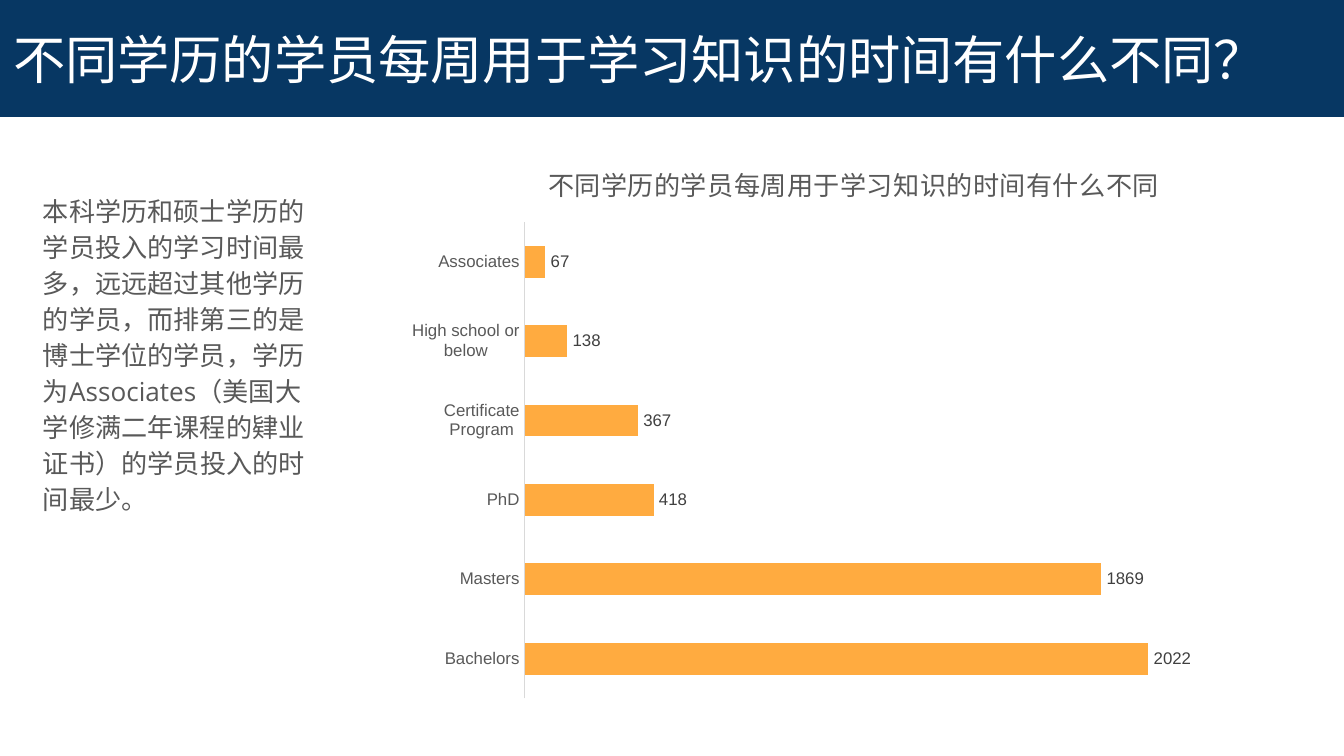
"""Build a slide on weekly study time by learners' level of education."""
from dataclasses import dataclass

from lxml.etree import SubElement
from pptx import Presentation
from pptx.chart.data import CategoryChartData
from pptx.dml.color import RGBColor
from pptx.enum.chart import XL_CHART_TYPE as ChartType
from pptx.enum.chart import XL_LABEL_POSITION as LabelPosition
from pptx.enum.chart import XL_TICK_LABEL_POSITION as TickLabels
from pptx.enum.chart import XL_TICK_MARK as TickMark
from pptx.enum.text import MSO_ANCHOR as Anchor
from pptx.enum.text import MSO_AUTO_SIZE as AutoSize
from pptx.enum.text import PP_ALIGN as Align
from pptx.oxml.ns import qn
from pptx.util import Cm, Pt


@dataclass(frozen=True)
class Theme:
    navy: str = "073763"
    white: str = "FFFFFF"
    black: str = "000000"
    grey: str = "595959"
    dark: str = "404040"
    rule: str = "D9D9D9"
    orange: str = "FFAB40"
    sans: str = "Open Sans"
    plain: str = "Arial"
    heading: float = 28
    text: float = 14
    base: float = 10
    label: float = 9


@dataclass(frozen=True)
class Box:
    left: float
    top: float
    width: float
    height: float

    def lengths(self) -> tuple:
        return Cm(self.left), Cm(self.top), Cm(self.width), Cm(self.height)


@dataclass(frozen=True)
class Piece:
    text: str
    face: str


@dataclass(frozen=True)
class Panel:
    box: Box
    pieces: tuple
    fill: str
    color: str
    size: float
    anchor: Anchor
    spacing: float
    after: float


THEME = Theme()
QUESTION = "不同学历的学员每周用于学习知识的时间有什么不同"
LEARNERS = {
    "Bachelors": 2022,
    "Masters": 1869,
    "PhD": 418,
    "Certificate Program": 367,
    "High school or below": 138,
    "Associates": 67,
}
BANNER = Panel(
    Box(0, 0, 25.4, 2.21), (Piece(QUESTION + "？", THEME.sans),),
    THEME.navy, THEME.white, THEME.heading, Anchor.MIDDLE, 1, 0,
)
FINDING = Panel(
    Box(0.56, 3.35, 5.84, 7.57),
    (
        Piece("本科学历和硕士学历的学员投入的学习时间最多，远远超过其他学历的学员，"
              "而排第三的是博士学位的学员，学历为Associates（", THEME.sans),
        Piece("美国大学修满二年课程的肄业证书", THEME.plain),
        Piece("）的学员投入的时间最少。", THEME.sans),
    ),
    THEME.white, THEME.grey, THEME.text, Anchor.TOP, 1.15, 16,
)


def style(font, size: float, color: str, face: str) -> None:
    font.size = Pt(size)
    font.bold = False
    font.name = face
    font.color.rgb = RGBColor.from_string(color)


def fill_panel(holder, panel: Panel) -> None:
    holder.left, holder.top, holder.width, holder.height = panel.box.lengths()
    holder.fill.solid()
    holder.fill.fore_color.rgb = RGBColor.from_string(panel.fill)
    frame = holder.text_frame
    frame.word_wrap = True
    frame.auto_size = AutoSize.NONE
    frame.vertical_anchor = panel.anchor
    frame.margin_left = frame.margin_right = Cm(0.25)
    frame.margin_top = frame.margin_bottom = Cm(0.25)
    paragraph = frame.paragraphs[0]
    paragraph.alignment = Align.LEFT
    paragraph.line_spacing = panel.spacing
    paragraph.space_before = Pt(0)
    paragraph.space_after = Pt(panel.after)
    properties = paragraph._p.get_or_add_pPr()
    properties.set("marL", "0")
    properties.set("indent", "0")
    SubElement(properties, qn("a:buNone"))
    for piece in panel.pieces:
        run = paragraph.add_run()
        run.text = piece.text
        style(run.font, panel.size, panel.color, piece.face)
        SubElement(run._r.get_or_add_rPr(), qn("a:ea")).set("typeface", piece.face)


def add_study_chart(slide, box: Box) -> None:
    study = CategoryChartData()
    study.categories = list(LEARNERS)
    study.add_series("Series 1", list(LEARNERS.values()))
    chart = slide.shapes.add_chart(ChartType.BAR_CLUSTERED, *box.lengths(), study).chart
    style(chart.font, THEME.base, THEME.black, THEME.plain)
    chart.has_legend = False
    chart.has_title = True
    heading = chart.chart_title.text_frame
    heading.text = QUESTION
    style(heading.paragraphs[0].runs[0].font, THEME.text, THEME.grey, THEME.plain)

    levels = chart.category_axis
    levels.major_tick_mark = levels.minor_tick_mark = TickMark.NONE
    levels.tick_label_position = TickLabels.NEXT_TO_AXIS
    levels.format.line.color.rgb = RGBColor.from_string(THEME.rule)
    levels.format.line.width = Pt(0.75)
    style(levels.tick_labels.font, THEME.label, THEME.grey, THEME.plain)
    scale = chart.value_axis
    scale.visible = False
    scale.has_major_gridlines = False
    scale.minimum_scale, scale.maximum_scale = 0, 2500

    plot = chart.plots[0]
    plot.gap_width, plot.overlap = 150, -25
    plot.vary_by_categories = False
    bars = plot.series[0]
    bars.format.fill.solid()
    bars.format.fill.fore_color.rgb = RGBColor.from_string(THEME.orange)
    counts = bars.data_labels
    counts.show_value = True
    counts.position = LabelPosition.OUTSIDE_END
    style(counts.font, THEME.label, THEME.dark, THEME.plain)


def main() -> None:
    deck = Presentation()
    deck.slide_width, deck.slide_height = Cm(25.4), Cm(14.29)
    slide = deck.slides.add_slide(deck.slide_layouts[1])
    finding = slide.placeholders[1]
    fill_panel(finding, FINDING)
    finding.line.color.rgb = RGBColor.from_string(THEME.white)
    finding.line.width = Pt(0.75)
    fill_panel(slide.shapes.title, BANNER)
    add_study_chart(slide, Box(7.44, 2.62, 17.4, 10.8))
    deck.save("out.pptx")


main()
